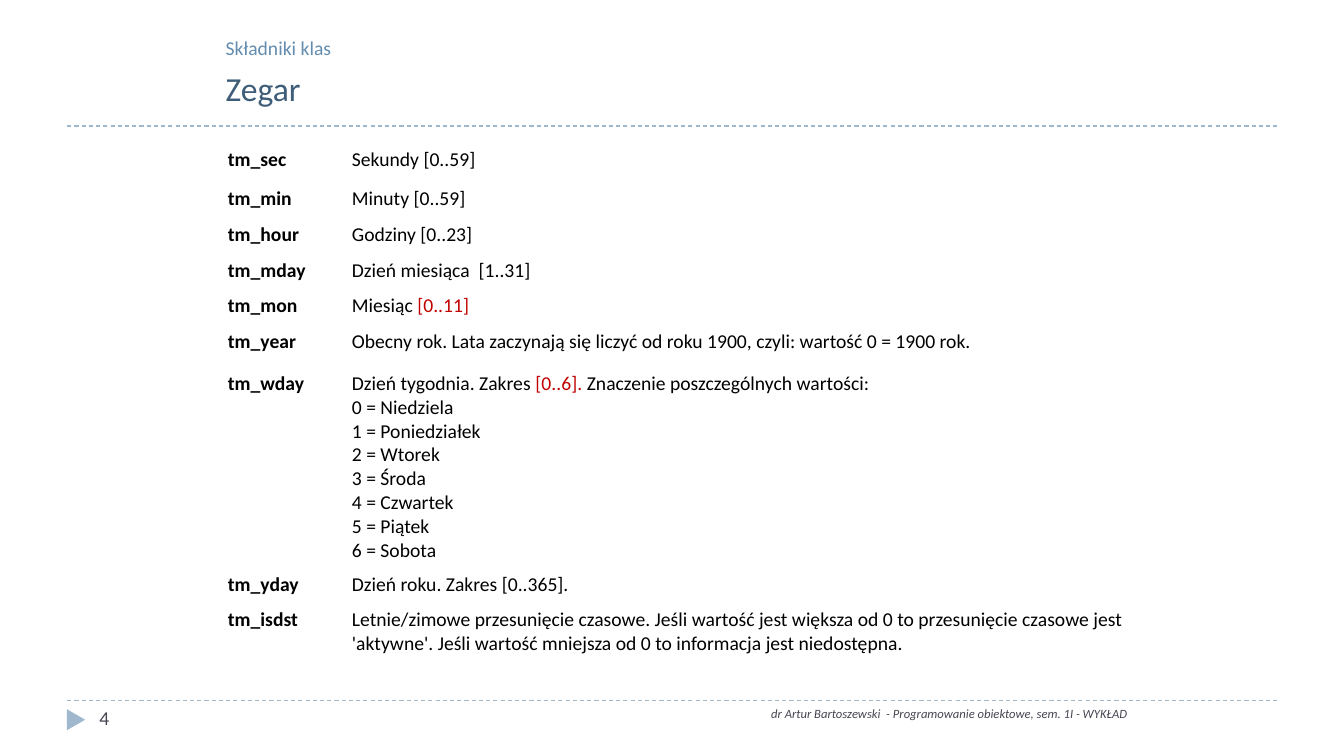
from dataclasses import dataclass

from lxml import etree
from pptx import Presentation
from pptx import util as u
from pptx.dml.color import RGBColor
from pptx.enum import dml, shapes, text
from pptx.oxml.ns import qn

Pt = u.Pt


@dataclass(frozen=True)
class Theme:
    font: str = "Calibri"
    paper: str = "FFFFFF"
    ink: str = "000000"
    title: str = "3E5D78"
    section: str = "638CAE"
    muted: str = "464653"
    rule: str = "9FB8CD"
    accent: str = "C00000"
    title_size: int = 24
    body_size: int = 14
    footer_size: int = 9


def rgb(value):
    return RGBColor.from_string(value)


class SlideBuilder:
    def __init__(self, prs, theme):
        self.theme = theme
        self.s = prs.slides.add_slide(prs.slide_layouts[5])

    def add_run(self, p, words, color, size, bold=False, italic=False):
        r = p.add_run()
        r.text = words
        f = r.font
        f.name, f.size, f.bold, f.italic = self.theme.font, Pt(size), bold, italic
        f.color.rgb = rgb(color)

    def fill_frame(self, sp, box, words, color, size, grow=False,
                   align=text.PP_ALIGN.LEFT, italic=False):
        sp.left, sp.top, sp.width, sp.height = map(Pt, box)
        tf = sp.text_frame
        tf.word_wrap = True
        tf.vertical_anchor = text.MSO_ANCHOR.TOP
        fit = text.MSO_AUTO_SIZE
        tf.auto_size = fit.SHAPE_TO_FIT_TEXT if grow else fit.NONE
        p = tf.paragraphs[0]
        p.alignment = align
        self.add_run(p, words, color, size, italic=italic)

    def title(self, box, words):
        self.fill_frame(self.s.shapes.title, box, words, self.theme.title,
                        self.theme.title_size, grow=True)

    def label(self, box, words, color, size, **style):
        sp = self.s.shapes.add_textbox(*map(Pt, box))
        self.fill_frame(sp, box, words, color, size, **style)

    def rule(self, y, left=48, right=912):
        line = self.s.shapes.add_connector(
            shapes.MSO_CONNECTOR.STRAIGHT, Pt(left), Pt(y), Pt(right), Pt(y))
        line.line.color.rgb = rgb(self.theme.rule)
        line.line.width = Pt(0.75)
        line.line.dash_style = dml.MSO_LINE.DASH
        etree.SubElement(line._element.spPr, qn("a:effectLst"))

    def marker(self, box):
        sp = self.s.shapes.add_shape(
            shapes.MSO_SHAPE.ISOSCELES_TRIANGLE, *map(Pt, box))
        sp.rotation = 90
        sp.shadow.inherit = False
        sp.fill.solid()
        sp.fill.fore_color.rgb = rgb(self.theme.rule)
        sp.line.fill.background()

    def cell(self, cell, lines, bold=False):
        """Each line is a list of (words, color) runs."""
        cell.fill.solid()
        cell.fill.fore_color.rgb = rgb(self.theme.paper)
        cell.margin_left = cell.margin_top = Pt(5.76)
        cell.margin_right, cell.margin_bottom = Pt(0.72), Pt(2.88)
        p = cell.text_frame.paragraphs[0]
        for i, runs in enumerate(lines):
            if i:
                p.add_line_break()
            for words, color in runs:
                self.add_run(p, words, color, self.theme.body_size, bold)

    def table(self, left, top, widths, rows):
        heights = [height for height, _, _ in rows]
        frame = self.s.shapes.add_table(
            len(rows), len(widths), Pt(left), Pt(top),
            Pt(sum(widths)), Pt(sum(heights)))
        table = frame.table
        table.first_row = table.horz_banding = False
        for column, width in zip(table.columns, widths):
            column.width = Pt(width)
        for i, (height, name, lines) in enumerate(rows):
            table.rows[i].height = Pt(height)
            self.cell(table.cell(i, 0), [[(name, self.theme.ink)]], bold=True)
            self.cell(table.cell(i, 1), lines)


def field_rows(theme):
    """Row height, field name and description lines."""
    ink, accent = theme.ink, theme.accent

    def plain(words):
        return [[(words, ink)]]

    days = ["Niedziela", "Poniedziałek", "Wtorek", "Środa",
            "Czwartek", "Piątek", "Sobota"]
    weekday = [[("Dzień tygodnia. Zakres ", ink), ("[0..6]. ", accent),
                ("Znaczenie poszczególnych wartości:", ink)]]
    weekday += [[(f"{n} = {day}", ink)] for n, day in enumerate(days)]
    return [
        (28, "tm_sec", plain("Sekundy [0..59]")),
        (18.7, "tm_min", plain("Minuty [0..59]")),
        (18.7, "tm_hour", plain("Godziny [0..23]")),
        (20, "tm_mday", plain("Dzień miesiąca  [1..31]")),
        (18.7, "tm_mon", [[("Miesiąc ", ink), ("[0..11]", accent)]]),
        (30, "tm_year", plain("Obecny rok. Lata zaczynają się liczyć od roku "
                              "1900, czyli: wartość 0 = 1900 rok.")),
        (143.3, "tm_wday", weekday),
        (18.7, "tm_yday", plain("Dzień roku. Zakres [0..365].")),
        (44.6, "tm_isdst", plain(
            "Letnie/zimowe przesunięcie czasowe. Jeśli wartość jest większa "
            "od 0 to przesunięcie czasowe jest 'aktywne'. Jeśli wartość "
            "mniejsza od 0 to informacja jest niedostępna.")),
    ]


def main():
    prs = Presentation()
    prs.slide_width, prs.slide_height = Pt(960), Pt(540)
    theme = Theme()
    slide = SlideBuilder(prs, theme)

    # Rules and page marker
    for y in (500.4, 90):
        slide.rule(y)
    slide.marker((46.8, 507.6, 15, 13))

    # Heading
    slide.title((154, 44.6, 427.7, 36), "Zegar")
    slide.label((154, 22.3, 337.7, 24.5), "Składniki klas",
                theme.section, theme.body_size, grow=True)

    # Footer
    slide.label((64, 500.4, 208, 28.8), "4", theme.muted, theme.body_size)
    slide.label((418.3, 500.4, 393.8, 28.8),
                "dr Artur Bartoszewski  - Programowanie obiektowe, "
                "sem. 1I - WYKŁAD",
                theme.muted, theme.footer_size,
                align=text.PP_ALIGN.RIGHT, italic=True)

    # Fields of the time structure
    slide.table(157, 100, (88.6, 574.6), field_rows(theme))

    prs.save("out.pptx")


if __name__ == "__main__":
    main()
